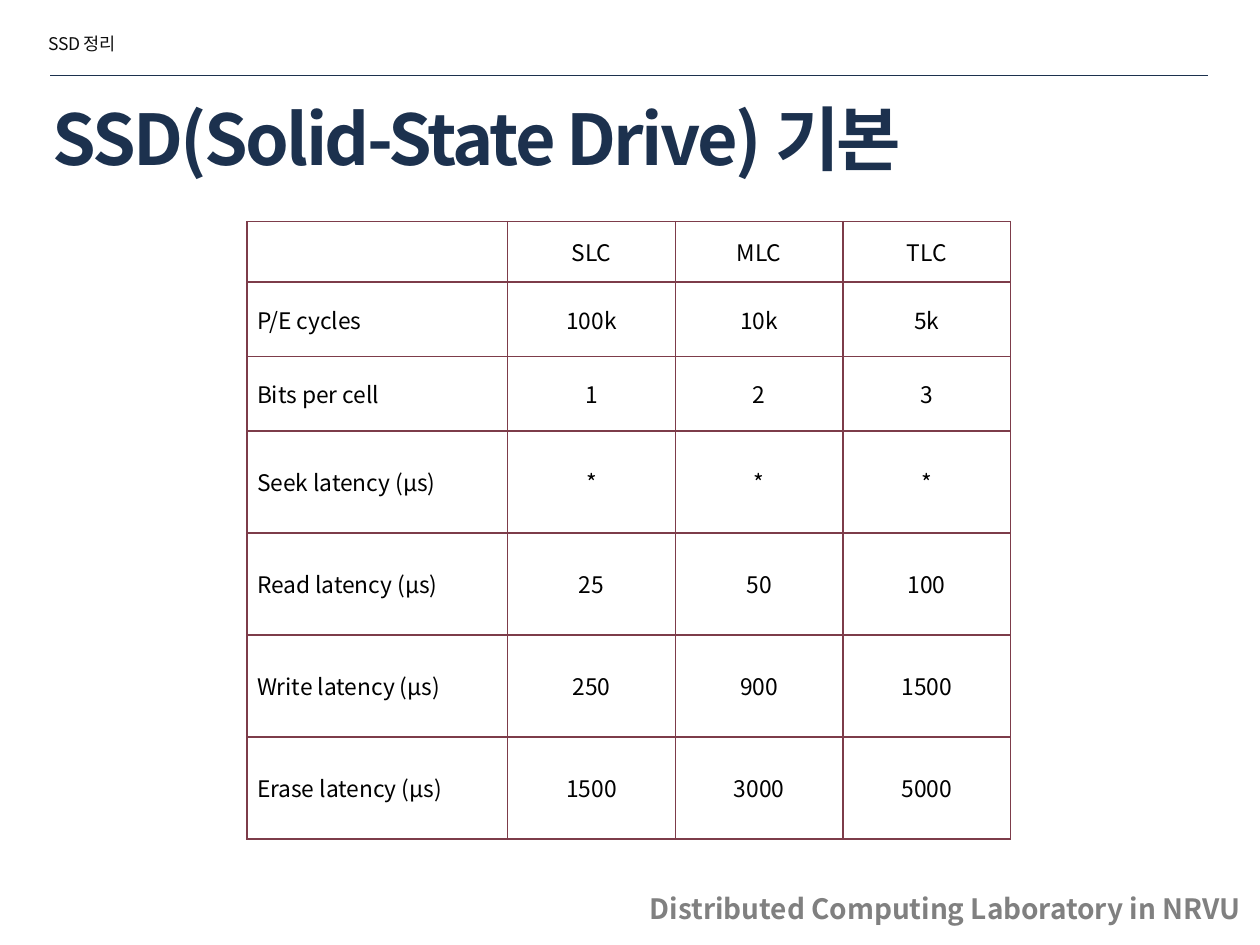
from dataclasses import dataclass

from lxml.etree import SubElement
from pptx import Presentation
from pptx.dml.color import RGBColor
from pptx.enum.shapes import MSO_CONNECTOR
from pptx.enum.text import MSO_ANCHOR, MSO_AUTO_SIZE, PP_ALIGN
from pptx.oxml.ns import qn
from pptx.util import Inches, Pt


@dataclass(frozen=True)
class Theme:
    font: str = "Noto Sans CJK KR"
    navy: str = "1C314E"
    ink: str = "0D0D0D"
    black: str = "000000"
    gray: str = "808080"
    border: str = "7D3C4A"
    header_size: float = 10
    title_size: float = 40
    table_size: float = 13
    footer_size: float = 16


THEME = Theme()

COLUMN_WIDTHS = (2.07, 1.33, 1.33, 1.33)
ROW_HEIGHTS = (0.48, 0.59, 0.59, 0.81, 0.81, 0.81, 0.81)
FLASH_TYPES = (
    ("", "SLC", "MLC", "TLC"),
    ("P/E cycles", "100k", "10k", "5k"),
    ("Bits per cell", "1", "2", "3"),
    ("Seek latency (μs)", "*", "*", "*"),
    ("Read latency (μs)", "25", "50", "100"),
    ("Write latency (μs)", "250", "900", "1500"),
    ("Erase latency (μs)", "1500", "3000", "5000"),
)


def write(frame, text, size, color, bold=False, align=PP_ALIGN.LEFT, spacing=0):
    """Set one paragraph of text; spacing is the letter spacing in points."""
    frame.text = text
    para = frame.paragraphs[0]
    para.alignment = align
    for span in para.runs:
        span.font.size = Pt(size)
        span.font.bold = bold
        span.font.name = THEME.font
        span.font.color.rgb = RGBColor.from_string(color)
        properties = span.font._element
        SubElement(properties, qn("a:ea")).set("typeface", THEME.font)
        if spacing:
            properties.set("spc", str(round(spacing * 100)))


def add_text(page, box, text, size, color, **style):
    frame = page.shapes.add_textbox(*map(Inches, box)).text_frame
    frame.word_wrap = True
    write(frame, text, size, color, **style)


def add_header(page, box):
    """Place the running head in the box, with a rule below it."""
    left, top, width, height = box
    add_text(page, (left - 0.11, top, 2.93, 0.27), "SSD 정리",
             THEME.header_size, THEME.ink, spacing=-0.3)
    bottom = Inches(top + height)
    rule = page.shapes.add_connector(
        MSO_CONNECTOR.STRAIGHT, Inches(left), bottom, Inches(left + width), bottom)
    rule.line.color.rgb = RGBColor.from_string(THEME.navy)
    rule.line.width = Pt(0.25)
    SubElement(rule._element.spPr, qn("a:effectLst"))


def place_title(page, box):
    title = page.shapes.title
    title.left, title.top, title.width, title.height = map(Inches, box)
    frame = title.text_frame
    frame.word_wrap = True
    frame.auto_size = MSO_AUTO_SIZE.NONE
    frame.vertical_anchor = MSO_ANCHOR.MIDDLE
    write(frame, "SSD(Solid-State Drive) 기본", THEME.title_size, THEME.navy,
          bold=True, spacing=-1.5)


def outline_cell(cell):
    properties = cell._tc.get_or_add_tcPr()
    for position, side in enumerate(("a:lnL", "a:lnR", "a:lnT", "a:lnB")):
        line = properties.makeelement(qn(side), {"w": str(Pt(1))})
        fill = SubElement(line, qn("a:solidFill"))
        SubElement(fill, qn("a:srgbClr")).set("val", THEME.border)
        properties.insert(position, line)


def add_flash_table(page, box):
    table = page.shapes.add_table(
        len(ROW_HEIGHTS), len(COLUMN_WIDTHS), *map(Inches, box)).table
    table.first_row = table.horz_banding = False
    for column, width in zip(table.columns, COLUMN_WIDTHS):
        column.width = Inches(width)
    for row, height in zip(table.rows, ROW_HEIGHTS):
        row.height = Inches(height)
    for row_index, values in enumerate(FLASH_TYPES):
        side, end = (0.08, 0.08) if row_index else (0.07, 0.04)
        for column_index, value in enumerate(values):
            cell = table.cell(row_index, column_index)
            cell.margin_left = cell.margin_right = Inches(side)
            cell.margin_top = cell.margin_bottom = Inches(end)
            cell.vertical_anchor = MSO_ANCHOR.MIDDLE
            cell.fill.background()
            outline_cell(cell)
            write(cell.text_frame, value, THEME.table_size, THEME.black,
                  align=PP_ALIGN.CENTER if column_index else PP_ALIGN.LEFT)


def add_footer(page, box):
    add_text(page, box, "Distributed Computing Laboratory in NRVU",
             THEME.footer_size, THEME.gray, bold=True)


def main():
    deck = Presentation()
    deck.slide_width, deck.slide_height = Inches(10), Inches(7.5)
    page = deck.slides.add_slide(deck.slide_layouts.get_by_name("Title Only"))
    add_header(page, (0.4, 0.21, 9.19, 0.39))
    place_title(page, (0.32, 0.77, 9.52, 0.64))
    add_footer(page, (5.06, 7.03, 5.31, 0.41))
    add_flash_table(page, (1.96, 1.76, sum(COLUMN_WIDTHS), sum(ROW_HEIGHTS)))
    deck.save("out.pptx")


if __name__ == "__main__":
    main()
